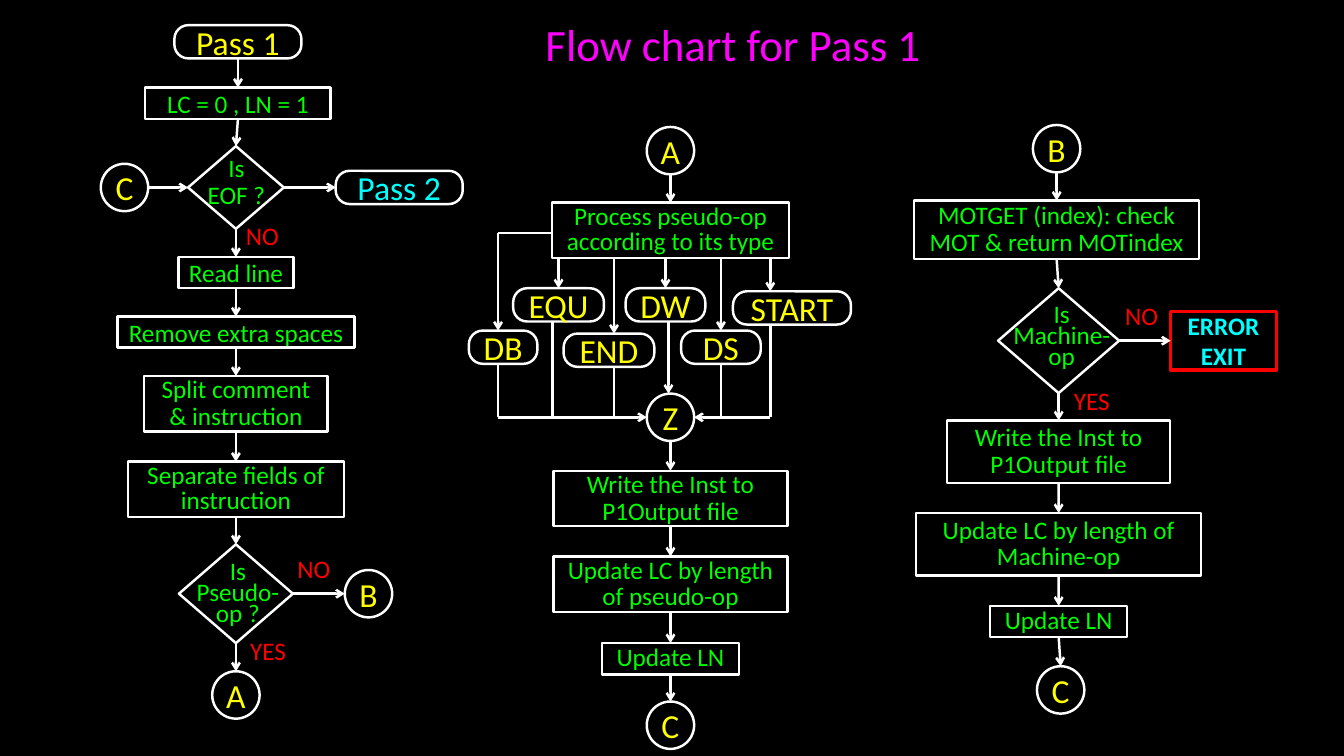
from dataclasses import dataclass
from itertools import pairwise
from typing import NamedTuple

import pptx
import pptx.dml.color
import pptx.enum.shapes
import pptx.enum.text
import pptx.oxml
import pptx.oxml.ns
import pptx.shapes.autoshape
import pptx.shapes.connector
import pptx.slide
import pptx.text.text
import pptx.util

RGBColor = pptx.dml.color.RGBColor
BLACK = RGBColor(0x00, 0x00, 0x00)
WHITE = RGBColor(0xFF, 0xFF, 0xFF)
GREEN = RGBColor(0x00, 0xFF, 0x00)
YELLOW = RGBColor(0xFF, 0xFF, 0x00)
CYAN = RGBColor(0x00, 0xFF, 0xFF)
RED = RGBColor(0xFF, 0x00, 0x00)
PINK = RGBColor(0xFF, 0x00, 0xFF)

FORMS = pptx.enum.shapes.MSO_SHAPE
BOX, PILL = FORMS.RECTANGLE, FORMS.ROUNDED_RECTANGLE
RING, GEM = FORMS.FLOWCHART_CONNECTOR, FORMS.DIAMOND
ALIGN = pptx.enum.text.PP_ALIGN
ANCHOR = pptx.enum.text.MSO_ANCHOR
TOP, LEFT, BOTTOM, RIGHT = range(4)
SHARES = {TOP: (0.5, 0), LEFT: (0, 0.5), BOTTOM: (0.5, 1), RIGHT: (1, 0.5)}

CELL = 0.1  # inches in one column or row of the grid
FIRST, SECOND, THIRD = 23.4, 66.5, 105  # axes of the three flows
BUS = 41.4  # row where the branches meet
FONT = "Calibri"


@dataclass(frozen=True)
class Node:
    """A flow chart shape, placed by its middle in grid cells."""
    text: str
    x: float
    y: float
    wide: float = 4.7
    high: float = 4.7
    form: FORMS = RING
    color: RGBColor = YELLOW
    edge: RGBColor = WHITE
    lead: int = 0


@dataclass(frozen=True)
class Note:
    """Free text, placed by its left top corner in grid cells."""
    text: str
    left: float
    top: float
    wide: float = 3.7
    high: float = 3
    lead: int = 0
    color: RGBColor = RED


class Branch(NamedTuple):
    """A pseudo-op with the columns of the lines above and below it."""
    text: str
    x: float
    y: float
    wide: float
    drop: float
    tail: float


class Spot(NamedTuple):
    x: float
    y: float


class Port(NamedTuple):
    shape: pptx.shapes.autoshape.Shape
    side: int


def box(text: str, x: float, y: float, wide: float, high: float, lead: int = 19) -> Node:
    return Node(text, x, y, wide, high, BOX, GREEN, lead=lead)


def pill(text: str, x: float, y: float, wide: float, color: RGBColor = YELLOW) -> Node:
    return Node(text, x, y, wide, 3.3, PILL, color)


def gem(x: float, y: float, wide: float, high: float) -> Node:
    return Node("", x, y, wide, high, GEM)


EOF, PSEUDO, MACHINE = gem(FIRST, 18.6, 9.5, 8.2), gem(FIRST, 58.9, 11.3, 9.8), gem(THIRD, 33.8, 12, 10.4)
PROCESS = box("Process pseudo-op according to its type", SECOND, 22.85, 23.5, 5.5, 18)
MERGE = Node("Z", SECOND, BUS)
STACKS = (
    (pill("Pass 1", FIRST + 0.2, 4.15, 12.6),
     box("LC = 0 , LN = 1", FIRST + 0.2, 10.25, 18.4, 3.1, 0), EOF,
     box("Read line", FIRST, 27.05, 11.4, 3.1, 0),
     box("Remove extra spaces", FIRST, 32.95, 23.5, 3.1, 0),
     box("Split comment\u0020& instruction", FIRST, 40.05, 18.2, 5.5),
     box("Separate fields of instruction", FIRST, 48.55, 21.4, 5.5, 18), PSEUDO,
     Node("A", FIRST, 68.95)),
    (Node("A", SECOND, 14.95), PROCESS),
    (MERGE,
     box("Write the Inst to P1Output file", SECOND, 49.45, 23.2, 5.5),
     box("Update LC by length of pseudo-op", SECOND, 57.95, 23.2, 5.5),
     box("Update LN", SECOND, 65.35, 13.6, 3.1),
     Node("C", SECOND, 71.95)),
    (Node("B", THIRD - 0.2, 14.75),
     box("MOTGET (index): check MOT & return MOTindex", THIRD - 0.2, 22.8, 28.3, 5.8), MACHINE,
     box("Write the Inst to P1Output file", THIRD, 44.8, 22.1, 6.2),
     box("Update LC by length of Machine-op", THIRD, 54, 28.3, 6.2),
     box("Update LN", THIRD, 61.65, 13.6, 3.1),
     Node("C", THIRD + 0.2, 68.45)),
)
ROWS = (
    (Node("C", 12.35, 18.6), EOF, pill("Pass 2", 39.6, 18.6, 12.6, CYAN)),
    (PSEUDO, Node("B", 36.55, 58.9)),
    (MACHINE, Node("ERROR\nEXIT", 121.35, 33.8, 10.5, 5.8, BOX, CYAN, RED)),
)
FORKS = (
    Branch("DB", 49.9, 34.45, 6.8, 49.4, 49.4),
    Branch("EQU", 55.4, 30.25, 9, 55.4, 54.8),
    Branch("END", 60.4, 34.75, 9, 60.9, 60.9),
    Branch("DW", 66, 30.25, 7.9, 66, 66.3),
    Branch("DS", 71.5, 34.45, 7.9, 71.5, 71.5),
    Branch("START", 78.55, 30.55, 11.7, 76.4, 76.4),
)
NOTES = (
    Note("Is\nEOF ?", 18, 15, 10.9, 6.3, 19, GREEN),
    Note("Is\nPseudo-\nop ?", 17.1, 55.5, 13, 7.5, 15, GREEN),
    Note("Is\nMachine-\nop", 98.4, 30, 13.8, 7.9, 15, GREEN),
    Note("NO", 24.4, 21.9), Note("NO", 29.5, 54.9), Note("NO", 111.6, 29.8),
    Note("YES", 24.8, 63), Note("YES", 106.5, 38.2),
)


def cells(count: float) -> pptx.util.Length:
    return pptx.util.Inches(count * CELL)


def write(frame: pptx.text.text.TextFrame, text: str, size: int, color: RGBColor,
          lead: int = 0, align: ALIGN = ALIGN.CENTER, bold: bool = False) -> None:
    frame.text = text
    for line in frame.paragraphs:
        line.alignment = align
        if lead:
            line.line_spacing = pptx.util.Pt(lead)
        line.font.name, line.font.size = FONT, pptx.util.Pt(size)
        line.font.bold, line.font.color.rgb = bold, color


def draw(slide: pptx.slide.Slide, node: Node) -> pptx.shapes.autoshape.Shape:
    shape = slide.shapes.add_shape(
        node.form, cells(node.x - node.wide / 2), cells(node.y - node.high / 2),
        cells(node.wide), cells(node.high))
    shape.shadow.inherit = False
    shape.fill.background()
    shape.line.color.rgb = node.edge
    shape.line.width = pptx.util.Pt(2.5 if node.edge == RED else 1.75)
    if node.form == PILL:
        shape.adjustments[0] = 0.42
    if node.text:
        frame = shape.text_frame
        frame.word_wrap = node.form == BOX and node.high > 5
        frame.vertical_anchor = ANCHOR.MIDDLE
        write(frame, node.text, 18 if node.form == BOX else 24, node.color,
              node.lead, bold=node.edge == RED)
    return shape


def place(end: Port | Spot) -> tuple[int, int]:
    if isinstance(end, Spot):
        return cells(end.x), cells(end.y)
    shape, (across, down) = end.shape, SHARES[end.side]
    return int(shape.left + shape.width * across), int(shape.top + shape.height * down)


def wire(slide: pptx.slide.Slide, start: Port | Spot, end: Port | Spot, arrow: bool = True) -> None:
    """Draw a line, joined to its shapes except at the sides of rings."""
    line = slide.shapes.add_connector(
        pptx.enum.shapes.MSO_CONNECTOR.STRAIGHT, *place(start), *place(end))
    for port, join in ((start, line.begin_connect), (end, line.end_connect)):
        if isinstance(port, Port) and (port.side == TOP or port.shape.auto_shape_type != RING):
            join(port.shape, port.side)
    line.line.color.rgb = WHITE
    line.line.width = pptx.util.Pt(1.75)
    if arrow:
        head = pptx.oxml.parse_xml(f'<a:tailEnd {pptx.oxml.ns.nsdecls("a")} type="arrow"/>')
        line.line._get_or_add_ln().append(head)
    line._element.spPr.append(pptx.oxml.parse_xml(f'<a:effectLst {pptx.oxml.ns.nsdecls("a")}/>'))


def fork(slide: pptx.slide.Slide, branch: Branch) -> None:
    """Draw one pseudo-op, the line down to it and the line on to Z or the bus."""
    node = pill(branch.text, branch.x, branch.y, branch.wide)
    shape = draw(slide, node)
    above, below = node.y - node.high / 2, node.y + node.high / 2
    start = Spot(branch.drop, PROCESS.y + PROCESS.high / 2)
    if branch.drop < PROCESS.x - PROCESS.wide / 2:
        start = Spot(branch.drop, 23.1)
        wire(slide, Spot(PROCESS.x - PROCESS.wide / 2, start.y), start, False)
    wire(slide, start, Port(shape, TOP) if branch.drop == branch.x else Spot(branch.drop, above))
    into = abs(branch.tail - MERGE.x) < 1
    wire(slide, Port(shape, BOTTOM) if branch.tail == branch.x else Spot(branch.tail, below),
         Spot(branch.tail, MERGE.y - MERGE.high / 2 if into else BUS), into)


def label(slide: pptx.slide.Slide, note: Note) -> None:
    frame = slide.shapes.add_textbox(
        cells(note.left), cells(note.top), cells(note.wide), cells(note.high)).text_frame
    frame.word_wrap = bool(note.lead)
    if not note.lead:
        frame.margin_left = frame.margin_right = frame.margin_top = frame.margin_bottom = 0
    write(frame, note.text, 18, note.color, note.lead, ALIGN.CENTER if note.lead else ALIGN.LEFT)


def main() -> None:
    deck = pptx.Presentation()
    deck.slide_width, deck.slide_height = cells(133.3), cells(75)
    slide = deck.slides.add_slide(deck.slide_layouts[5])
    slide.background.fill.solid()
    slide.background.fill.fore_color.rgb = BLACK

    title = slide.shapes.title
    title.left, title.top, title.width, title.height = map(cells, (53.1, 1.2, 39.8, 6.4))
    title.text_frame.vertical_anchor = ANCHOR.TOP
    write(title.text_frame, "Flow chart for Pass 1", 32, PINK, align=ALIGN.LEFT)

    chains = [(chain, BOTTOM, TOP) for chain in STACKS] + [(chain, RIGHT, LEFT) for chain in ROWS]
    nodes = dict.fromkeys(node for chain, _, _ in chains for node in chain)
    shapes = {node: draw(slide, node) for node in nodes}
    for chain, leave, enter in chains:
        for start, end in pairwise(chain):
            wire(slide, Port(shapes[start], leave), Port(shapes[end], enter))
    for branch in FORKS:
        fork(slide, branch)
    for branch, side in ((FORKS[0], LEFT), (FORKS[-1], RIGHT)):
        wire(slide, Spot(branch.tail, BUS), Port(shapes[MERGE], side))
    for note in NOTES:
        label(slide, note)
    deck.save("out.pptx")


if __name__ == "__main__":
    main()
